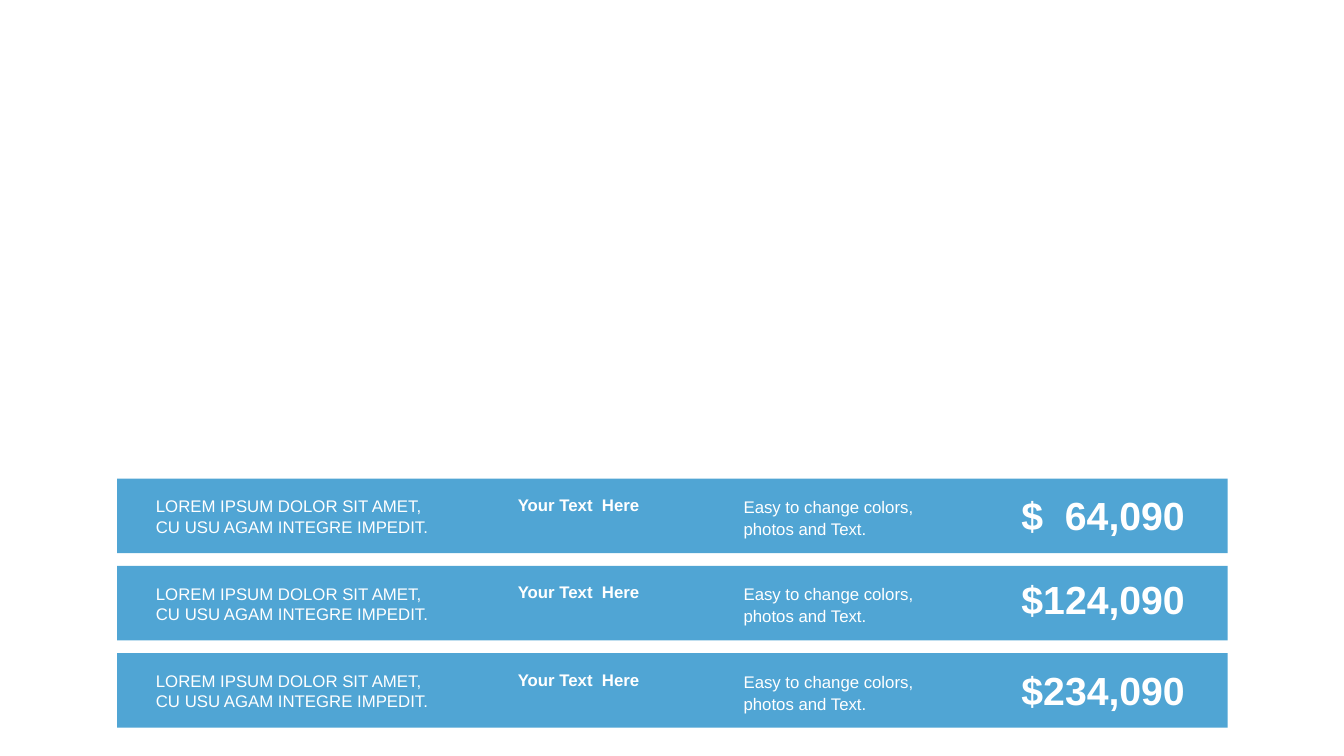
from lxml import etree
from pptx import Presentation
from pptx.dml.color import RGBColor
from pptx.enum.shapes import MSO_SHAPE
from pptx.enum.text import MSO_ANCHOR, MSO_AUTO_SIZE, PP_ALIGN
from pptx.oxml.ns import qn
from pptx.util import Cm, Pt

RECTANGLE = MSO_SHAPE.RECTANGLE
TOP, MIDDLE = MSO_ANCHOR.TOP, MSO_ANCHOR.MIDDLE
LEFT, CENTER = PP_ALIGN.LEFT, PP_ALIGN.CENTER
GROW = MSO_AUTO_SIZE.SHAPE_TO_FIT_TEXT

# Content
SUMMARY = ["LOREM IPSUM DOLOR SIT AMET,", "CU USU AGAM INTEGRE IMPEDIT."]
HEADING = ["Your Text  Here"]
DETAIL = ["Easy to change colors, photos and Text."]
PRICES = [  # amount, offset below the top of its bar in cm
    ("$  64,090", 0.2),
    ("$124,090", 0.11),
    ("$234,090", 0.2),
]

COLORS = {"bar": "0680C3", "text": "FFFFFF"}
FONT = "Arial"
BAR_OPACITY = 70  # percent

# Layout in cm
BAR_LEFT, BAR_TOP, BAR_WIDTH, BAR_HEIGHT = 2.95, 12.06, 27.99, 1.88
BAR_PITCH = 2.2


def add_bar(page, top):
    bar = page.shapes.add_shape(
        RECTANGLE, Cm(BAR_LEFT), Cm(top), Cm(BAR_WIDTH), Cm(BAR_HEIGHT))
    bar.shadow.inherit = False
    bar.line.fill.background()
    bar.fill.solid()
    bar.fill.fore_color.rgb = RGBColor.from_string(COLORS["bar"])
    color = bar.fill._xPr.find(".//" + qn("a:srgbClr"))
    etree.SubElement(color, qn("a:alpha"), val=str(BAR_OPACITY * 1000))


def add_text(page, lines, left, top, width, height, size=12, bold=False,
             align=LEFT, anchor=TOP, spacing=None):
    box = page.shapes.add_textbox(Cm(left), Cm(top), Cm(width), Cm(height))
    frame = box.text_frame
    frame.word_wrap = True
    frame.auto_size = GROW
    frame.vertical_anchor = anchor
    frame.text = "\n".join(lines)
    for para in frame.paragraphs:
        para.alignment = align
        para.line_spacing = spacing
        para.font.name = FONT
        para.font.size = Pt(size)
        para.font.bold = bold
        para.font.color.rgb = RGBColor.from_string(COLORS["text"])


def main():
    deck = Presentation()
    deck.slide_width, deck.slide_height = Cm(33.87), Cm(19.05)
    page = deck.slides.add_slide(deck.slide_layouts[6])

    # One bar per price, with its four columns of text
    for row, (price, price_offset) in enumerate(PRICES):
        top = BAR_TOP + row * BAR_PITCH
        add_bar(page, top)
        add_text(page, SUMMARY, 3.68, top + 0.31, 8.15, 1.28, anchor=MIDDLE)
        add_text(page, HEADING, 12.8, top + 0.28, 4.7, 0.77, bold=True)
        add_text(page, DETAIL, 18.49, top + 0.28, 5.87, 1.35, spacing=1.1)
        add_text(page, [price], 25.35, top + price_offset, 4.9, 1.45,
                 size=28, bold=True, align=CENTER)

    deck.save("out.pptx")


if __name__ == "__main__":
    main()
